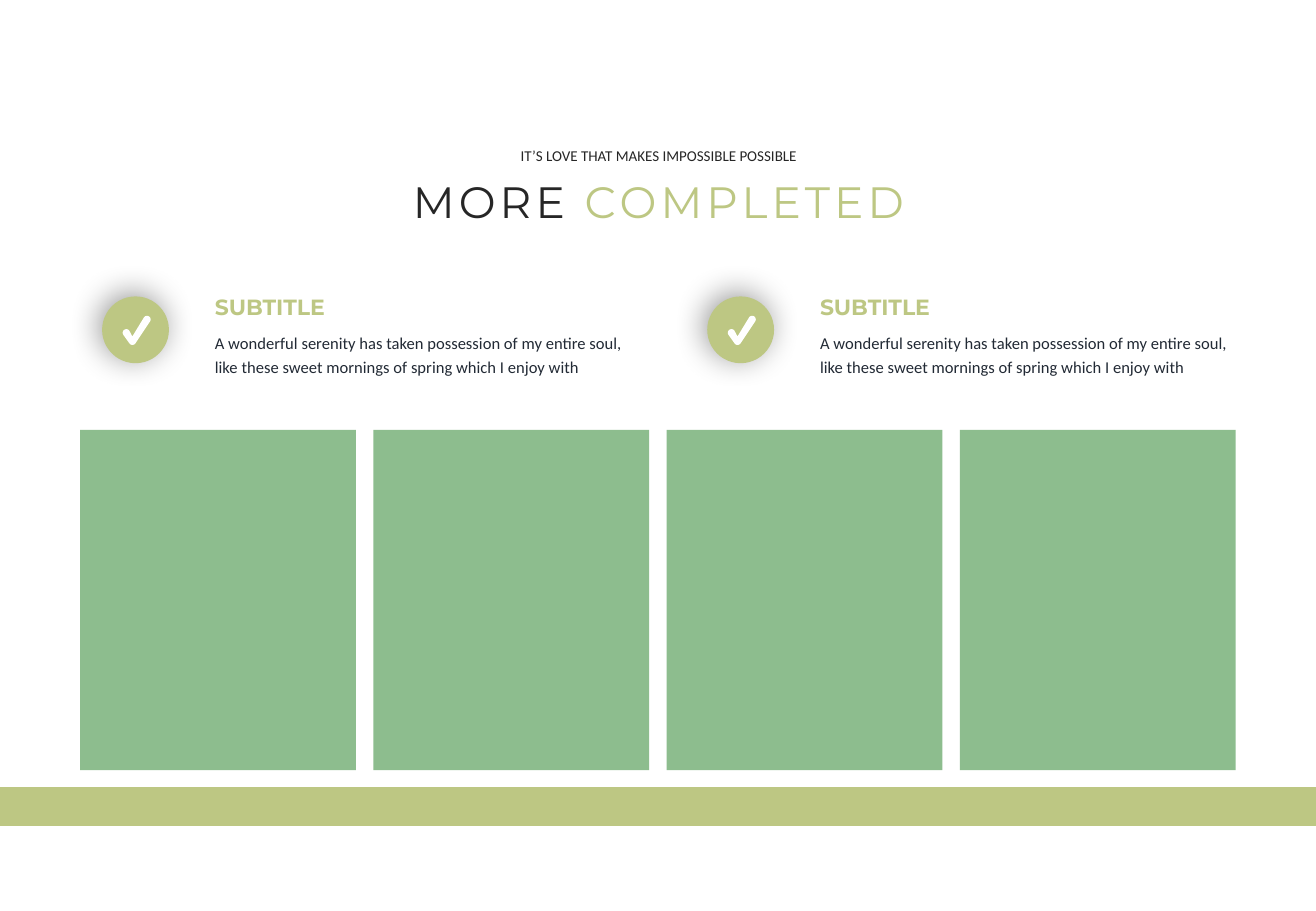
import math

from lxml import etree
from pptx import Presentation
from pptx.dml.color import RGBColor
from pptx.enum.shapes import MSO_SHAPE
from pptx.enum.text import MSO_ANCHOR, MSO_AUTO_SIZE, PP_ALIGN
from pptx.oxml.ns import qn
from pptx.util import Inches, Pt

RECT, OVAL = MSO_SHAPE.RECTANGLE, MSO_SHAPE.OVAL
LEFT, CENTER = PP_ALIGN.LEFT, PP_ALIGN.CENTER
TOP = MSO_ANCHOR.TOP
GROW = MSO_AUTO_SIZE.SHAPE_TO_FIT_TEXT

COLORS = {
    "olive": "BDC783",
    "green": "8DBD8E",
    "dark": "262626",
    "body": "222A35",
    "white": "FFFFFF",
    "shadow": "000000",
}
HEADING_FONT, BODY_FONT = "Montserrat", "Calibri"
SLIDE_W, SLIDE_H = 10.83, 7.5
PANEL_LEFT, PANEL_W, PANEL_COUNT = 0.66, 2.27, 4
FEATURE_LEFT, FEATURE_PITCH = 0.84, 4.98
FEATURES = [
    ("SUBTITLE", "A wonderful serenity has taken possession of my entire soul, "
                 "like these sweet mornings of spring which I enjoy with"),
] * 2


def rgb(name):
    return RGBColor.from_string(COLORS[name])


def style_shape(sp, color):
    sp.shadow.inherit = False
    sp.fill.solid()
    sp.fill.fore_color.rgb = rgb(color)
    sp.line.fill.background()


def add_block(s, kind, x, y, w, h, color):
    sp = s.shapes.add_shape(kind, Inches(x), Inches(y), Inches(w), Inches(h))
    style_shape(sp, color)
    return sp


def style_run(r, size, font, color, bold=False):
    r.font.size = Pt(size)
    r.font.name = font
    r.font.bold = bold
    r.font.color.rgb = rgb(color)


def add_text(s, x, y, w, h, text, size, font, color,
             bold=False, align=LEFT, spacing=1.0, wrap=True):
    sp = s.shapes.add_textbox(Inches(x), Inches(y), Inches(w), Inches(h))
    tf = sp.text_frame
    tf.word_wrap = wrap
    tf.auto_size = GROW
    p = tf.paragraphs[0]
    p.text = text
    p.alignment = align
    p.line_spacing = spacing
    style_run(p.runs[0], size, font, color, bold)


def add_title(s):
    sp = s.shapes.title
    sp.left, sp.top = Inches(3.07), Inches(1.39)
    sp.width, sp.height = Inches(4.7), Inches(0.54)
    tf = sp.text_frame
    tf.word_wrap = True
    tf.auto_size = GROW
    tf.vertical_anchor = TOP
    p = tf.paragraphs[0]
    p.alignment = CENTER
    for text, color in (("MORE ", "dark"), ("COMPLETED", "olive")):
        r = p.add_run()
        r.text = text
        style_run(r, 26, HEADING_FONT, color)
        r.font._element.set("spc", "240")


def add_soft_shadow(sp):
    effects = sp._element.spPr.find(qn("a:effectLst"))
    shadow = etree.SubElement(
        effects, qn("a:outerShdw"), blurRad=str(Pt(19)), dist=str(Pt(3)),
        dir=str(225 * 60000), algn="ctr", rotWithShape="0")
    color = etree.SubElement(shadow, qn("a:srgbClr"), val=COLORS["shadow"])
    etree.SubElement(color, qn("a:alpha"), val="40000")


def arc(cx, cy, radius, start, end, steps=12):
    angles = [math.radians(start + (end - start) * i / steps) for i in range(steps + 1)]
    return [(cx + radius * math.cos(a), cy + radius * math.sin(a)) for a in angles]


def add_check(s, x, y):
    radius = 0.03
    points = arc(x + 0.2, y + 0.3, radius, 144, 324)
    points.append((x + 0.25, y + 0.33))
    points += arc(x + 0.37, y + 0.19, radius, 214, 394)
    points += arc(x + 0.25, y + 0.37, radius, 34, 144)
    points = [(Inches(px), Inches(py)) for px, py in points]
    builder = s.shapes.build_freeform(*points[0])
    builder.add_line_segments(points[1:], close=True)
    style_shape(builder.convert_to_shape(), "white")


def add_feature(s, x, subtitle, body):
    y = 2.44
    text_x = x + 0.83
    add_text(s, text_x, 2.66, 3.58, 0.48, body, 9.8, BODY_FONT, "body", spacing=1.2)
    add_soft_shadow(add_block(s, OVAL, x, y, 0.55, 0.55, "olive"))
    add_text(s, text_x, 2.37, 2.32, 0.32, subtitle, 13, HEADING_FONT, "olive", bold=True)
    add_check(s, x, y)


def main():
    prs = Presentation()
    prs.slide_width, prs.slide_height = Inches(SLIDE_W), Inches(SLIDE_H)
    s = prs.slides.add_slide(prs.slide_layouts[5])
    add_title(s)
    pitch = (SLIDE_W - 2 * PANEL_LEFT - PANEL_W) / (PANEL_COUNT - 1)
    for i in range(PANEL_COUNT):
        add_block(s, RECT, PANEL_LEFT + i * pitch, 3.54, PANEL_W, 2.8, "green")
    add_block(s, RECT, 0, 6.48, SLIDE_W, 0.32, "olive")
    add_text(s, 4.16, 1.16, 2.52, 0.25, "IT’S LOVE THAT MAKES IMPOSSIBLE POSSIBLE",
             8.9, BODY_FONT, "dark", align=CENTER, wrap=False)
    for i, (subtitle, body) in enumerate(FEATURES):
        add_feature(s, FEATURE_LEFT + i * FEATURE_PITCH, subtitle, body)
    prs.save("out.pptx")


if __name__ == "__main__":
    main()
